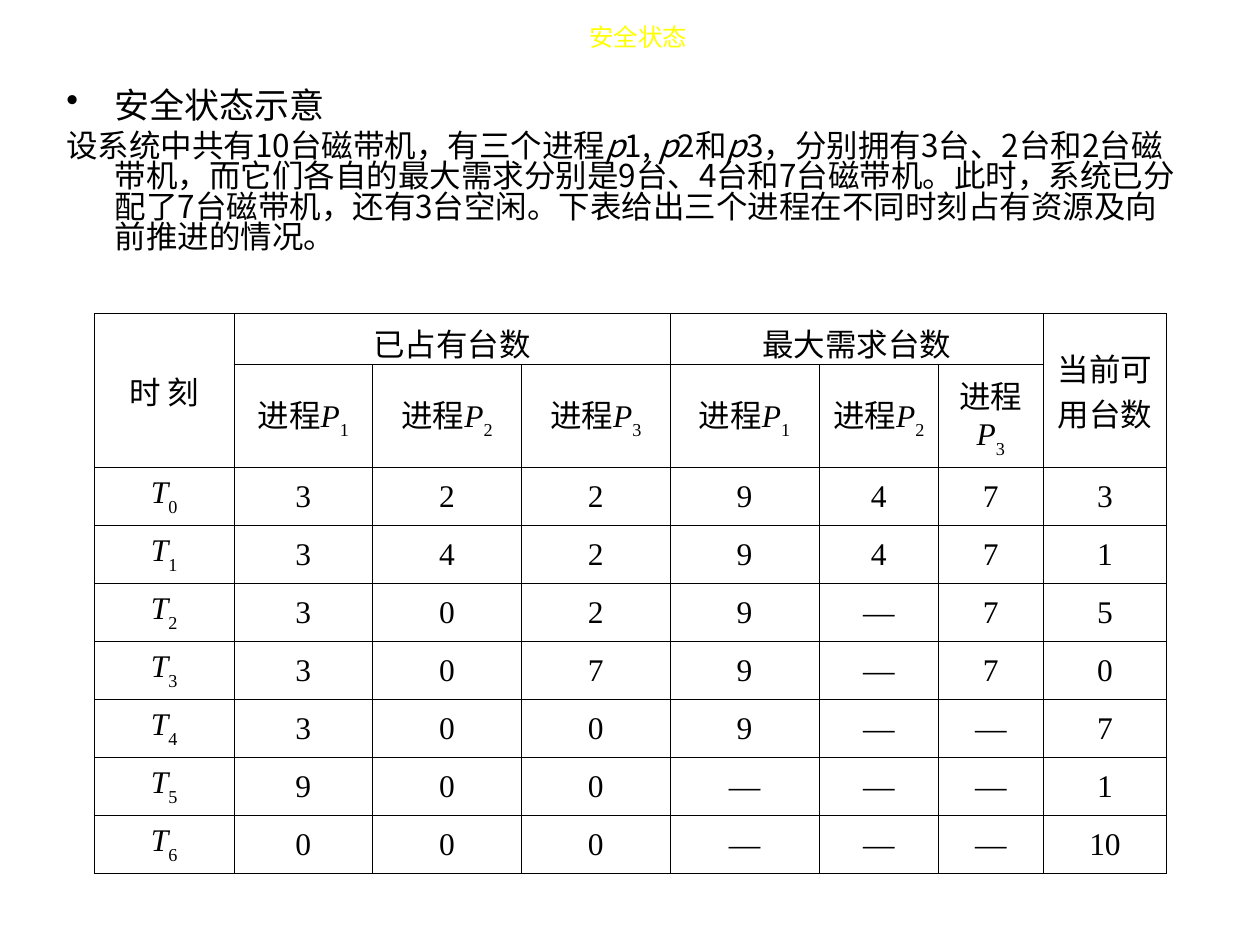
from pptx import Presentation
from pptx.dml.color import RGBColor
from pptx.enum.text import MSO_ANCHOR as Anchor, PP_ALIGN as Align
from pptx.oxml import parse_xml
from pptx.oxml.ns import nsdecls, qn
from pptx.util import Cm, Pt

CJK = "Noto Sans CJK SC"
SERIF = "Times New Roman"
BLACK = "000000"
PLAIN, ITALIC, SUBSCRIPT = "plain", "italic", "subscript"

STORY = [
    ("设系统中共有10台磁带机，有三个进程", PLAIN),
    ("p", ITALIC), ("1, ", PLAIN),
    ("p", ITALIC), ("2和", PLAIN),
    ("p", ITALIC),
    ("3，分别拥有3台、2台和2台磁带机，而它们各自的最大需求分别是9台、4台和7台磁带机。"
     "此时，系统已分配了7台磁带机，还有3台空闲。下表给出三个进程在不同时刻占有资源及向前推进的情况。", PLAIN),
]
HEADINGS = [
    ("时 刻", (0, 0), (1, 0)),
    ("已占有台数", (0, 1), (0, 3)),
    ("最大需求台数", (0, 4), (0, 6)),
    ("当前可用台数", (0, 7), (1, 7)),
]
STATES = [
    "3 2 2 9 4 7 3",
    "3 4 2 9 4 7 1",
    "3 0 2 9 — 7 5",
    "3 0 7 9 — 7 0",
    "3 0 0 9 — — 7",
    "9 0 0 — — — 1",
    "0 0 0 — — — 10",
]
COLUMNS = [2.82, 2.79, 3, 3, 3, 2.41, 2.11, 2.49]
ROWS = [1.02, 2.08] + [1.17] * len(STATES)


def color(value):
    return RGBColor.from_string(value)


def write(para, spans, size, name, fill=BLACK):
    for text, style in spans:
        span = para.add_run()
        span.text = text
        if style == ITALIC:
            span.font.italic = True
        elif style == SUBSCRIPT:
            span._r.get_or_add_rPr().set("baseline", "-30000")
    font = para.font
    font.size, font.name = Pt(size), name
    font.color.rgb = color(fill)
    latin = para._p.pPr.find(qn("a:defRPr")).find(qn("a:latin"))
    latin.addnext(parse_xml(f'<a:ea {nsdecls("a")} typeface="{CJK}"/>'))


def hang(para, indent, bullet=None):
    properties = para._p.get_or_add_pPr()
    properties.set("marL", str(Cm(indent)))
    properties.set("indent", str(-Cm(indent)))
    if bullet:
        mark = f'<a:buChar {nsdecls("a")} char="{bullet}"/>'
    else:
        mark = f'<a:buNone {nsdecls("a")}/>'
    properties.append(parse_xml(mark))


def place_title(page, left, top, width, height):
    title = page.shapes.title
    title.left, title.top, title.width, title.height = map(Cm, (left, top, width, height))
    frame = title.text_frame
    frame.vertical_anchor = Anchor.MIDDLE
    frame.margin_left = Cm(0.59)
    para = frame.paragraphs[0]
    para.alignment = Align.CENTER
    write(para, [("安全状态", PLAIN)], 14, CJK, "FFFF00")


def place_story(page, left, top, width, height):
    box = page.shapes.add_textbox(*map(Cm, (left, top, width, height)))
    frame = box.text_frame
    frame.word_wrap = True
    heading, story = frame.paragraphs[0], frame.add_paragraph()
    heading.line_spacing = story.line_spacing = 0.8
    story.space_before = Pt(4.5)
    hang(heading, 0.97, "•")
    hang(story, 0.97)
    write(heading, [("安全状态示意", PLAIN)], 20, "Arial")
    write(story, STORY, 18, CJK)


def outline(cell):
    for side in "LRTB":
        cell._tc.get_or_add_tcPr().append(parse_xml(
            f'<a:ln{side} {nsdecls("a")} w="{Pt(0.45)}"><a:solidFill>'
            f'<a:srgbClr val="{BLACK}"/></a:solidFill></a:ln{side}>'))
    cell.fill.background()


def fill_cell(cell, *spans):
    cell.vertical_anchor = Anchor.MIDDLE
    para = cell.text_frame.paragraphs[0]
    para.alignment = Align.CENTER
    write(para, spans, 18, SERIF)


def place_table(page, left, top):
    size = (sum(COLUMNS), sum(ROWS))
    table = page.shapes.add_table(len(ROWS), len(COLUMNS), *map(Cm, (left, top, *size))).table
    table.first_row = table.horz_banding = False
    for column, width in zip(table.columns, COLUMNS):
        column.width = Cm(width)
    for row, height in zip(table.rows, ROWS):
        row.height = Cm(height)
    for cell in table.iter_cells():
        outline(cell)

    for text, first, last in HEADINGS:
        table.cell(*first).merge(table.cell(*last))
        fill_cell(table.cell(*first), (text, PLAIN))
    for index in range(6):
        fill_cell(table.cell(1, index + 1), ("进程", PLAIN), ("P", ITALIC),
                  (str(index % 3 + 1), SUBSCRIPT))
    for moment, state in enumerate(STATES):
        fill_cell(table.cell(moment + 2, 0), ("T", ITALIC), (str(moment), SUBSCRIPT))
        for index, value in enumerate(state.split(), 1):
            fill_cell(table.cell(moment + 2, index), (value, PLAIN))


def main():
    deck = Presentation()
    deck.slide_width, deck.slide_height = Cm(25.4), Cm(19.05)
    page = deck.slides.add_slide(deck.slide_layouts[5])
    place_title(page, 1.27, 0.33, 22.86, 0.81)
    place_story(page, 1.09, 1.73, 22.86, 3.61)
    place_table(page, 1.9, 6.32)
    deck.save("out.pptx")


if __name__ == "__main__":
    main()
